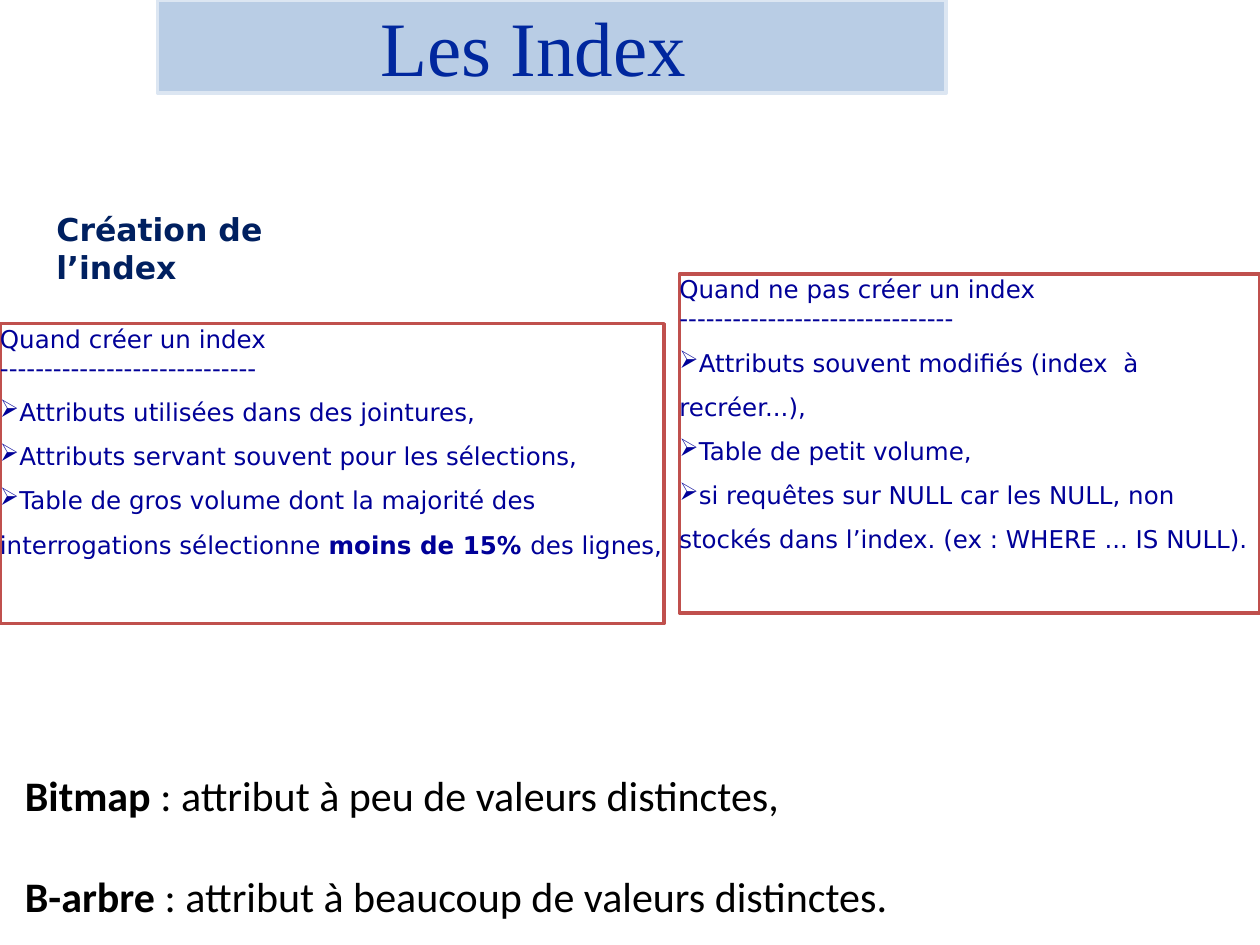
from lxml import etree
from pptx import Presentation
from pptx.dml.color import RGBColor
from pptx.enum.shapes import MSO_SHAPE
from pptx.enum.text import MSO_ANCHOR, PP_ALIGN
from pptx.oxml.ns import qn
from pptx.util import Pt

WHITE = RGBColor(0xFF, 0xFF, 0xFF)
BLACK = RGBColor(0, 0, 0)
RED = RGBColor(0xC0, 0x50, 0x4D)
BLUE = RGBColor(0, 0, 0x98)
NAVY = RGBColor(0, 0x20, 0x60)
TITLE_BLUE = RGBColor(0, 0x27, 0x9E)
BAND = RGBColor(0xB9, 0xCD, 0xE5)
BAND_EDGE = RGBColor(0xDC, 0xE6, 0xF2)


def add_text(tf, *parts, new=True, font="DejaVu Sans", size=14, color=BLUE,
             spacing=None, before=0, indent=0, bullet=None):
    """Write one paragraph; parts are plain strings or (string, bold) pairs."""
    p = tf.add_paragraph() if new else tf.paragraphs[0]
    p.alignment, p.space_before = PP_ALIGN.LEFT, Pt(before)
    if spacing:
        p.line_spacing = spacing
    ppr = p._p.get_or_add_pPr()
    ppr.set("marL", str(Pt(indent)))
    ppr.set("indent", "0")
    if bullet:
        etree.SubElement(ppr, qn("a:buChar")).set("char", bullet)
    for part in parts:
        text, bold = (part, False) if isinstance(part, str) else part
        for i, line in enumerate(text.split("\n")):
            if i:
                p.add_line_break()
            r = p.add_run()
            r.text = line
            r.font.name, r.font.size, r.font.bold = font, Pt(size), bold
            r.font.color.rgb = color


class IndexSlide:
    """Holds the current slide and the style of its boxes."""

    edge_width = 2
    bullet = "➢"

    def __init__(self, slide):
        """Keep the slide that receives the elements."""
        self.s = slide

    def box(self, x, y, w, h, fill, line):
        """Add a bordered rectangle without insets; return its text frame."""
        sp = self.s.shapes.add_shape(MSO_SHAPE.RECTANGLE, Pt(x), Pt(y), Pt(w), Pt(h))
        sp.shadow.inherit = False
        sp.fill.solid()
        sp.fill.fore_color.rgb = fill
        sp.line.color.rgb = line
        sp.line.width = Pt(self.edge_width)
        tf = sp.text_frame
        tf.word_wrap, tf.vertical_anchor = True, MSO_ANCHOR.TOP
        tf.margin_left = tf.margin_right = tf.margin_top = tf.margin_bottom = 0
        return tf

    def title(self, text):
        """Add the title band."""
        tf = self.box(90, 0, 450.7, 53.3, BAND, BAND_EDGE)
        add_text(tf, text, new=False, font="Times New Roman", size=44,
                 color=TITLE_BLUE, indent=127.4)

    def panel(self, x, y, w, h, heading, items):
        """Add a red-edged panel with a heading and bulleted items."""
        tf = self.box(x, y, w, h, WHITE, RED)
        add_text(tf, heading, new=False)
        for item in items:
            add_text(tf, *item, spacing=1.5, bullet=self.bullet)

    def label(self, x, y, w, h, paragraphs, **fmt):
        """Add a text box with one or more paragraphs."""
        tf = self.s.shapes.add_textbox(Pt(x), Pt(y), Pt(w), Pt(h)).text_frame
        tf.word_wrap = True
        gap = fmt.pop("gap", 0)
        for i, parts in enumerate(paragraphs):
            add_text(tf, *parts, new=i > 0, before=gap if i else 0, **fmt)


def main():
    """Build and save the slide."""
    prs = Presentation()
    prs.slide_width, prs.slide_height = Pt(720), Pt(540)
    page = IndexSlide(prs.slides.add_slide(prs.slide_layouts[6]))

    page.panel(0, 185, 379.4, 171.4, "Quand créer un index\n" + "-" * 29, [
        ["Attributs utilisées dans des jointures,"],
        ["Attributs servant souvent pour les sélections,"],
        ["Table de gros volume dont la majorité des interrogations sélectionne ",
         ("moins de 15% ", True), "des lignes,"],
    ])
    page.panel(388.2, 156.6, 331.8, 193.6, "Quand ne pas créer un index\n" + "-" * 31, [
        ["Attributs souvent modifiés (index  à recréer...),"],
        ["Table de petit volume, "],
        ["si requêtes sur NULL car les NULL, non stockés dans l’index. "
         "(ex : WHERE ... IS NULL)."],
    ])
    page.label(7.2, 436.3, 551.5, 94.3, [
        [("Bitmap", True), " : attribut à peu de valeurs distinctes,"],
        [("B-arbre", True), " : attribut à beaucoup de valeurs distinctes."],
    ], font="Calibri", size=24, color=BLACK, gap=29)
    page.label(25.2, 116.6, 206.6, 29, [[("Création de l’index", True)]],
               size=18, color=NAVY)
    page.title("Les Index")
    prs.save("out.pptx")


main()
